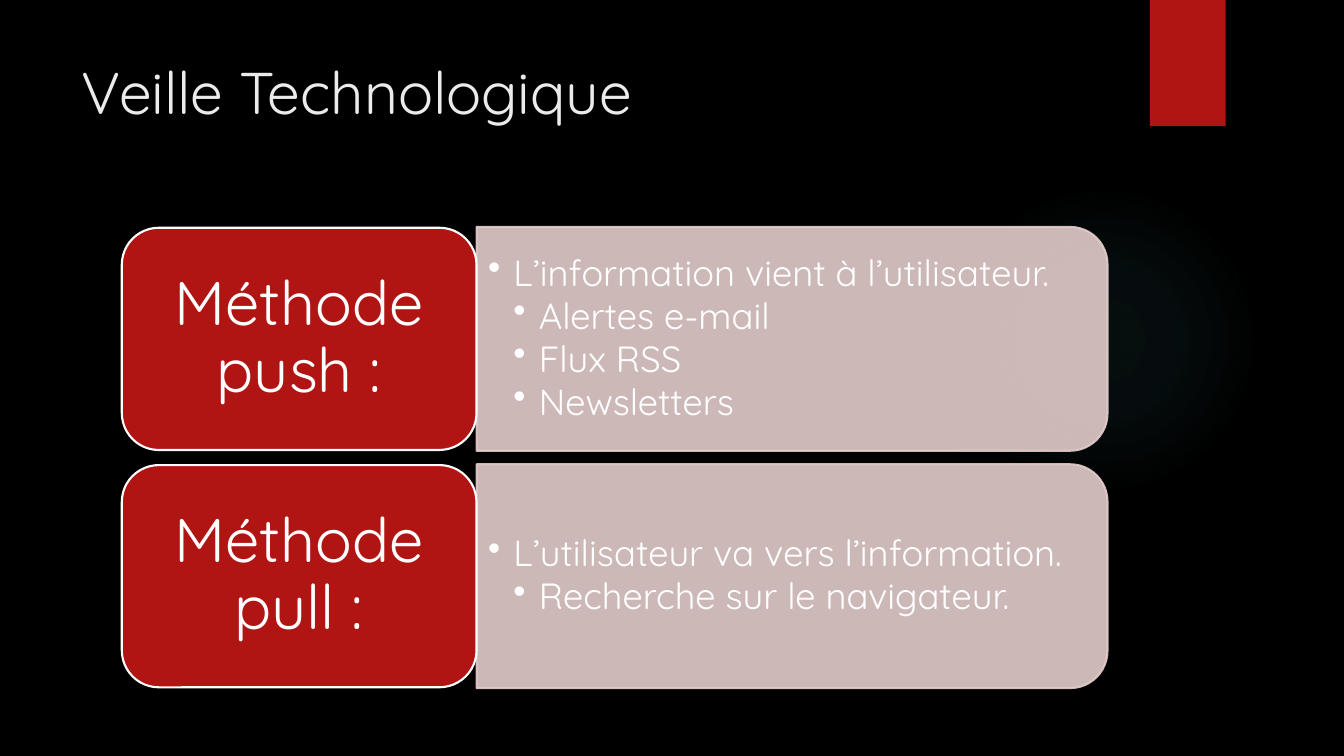
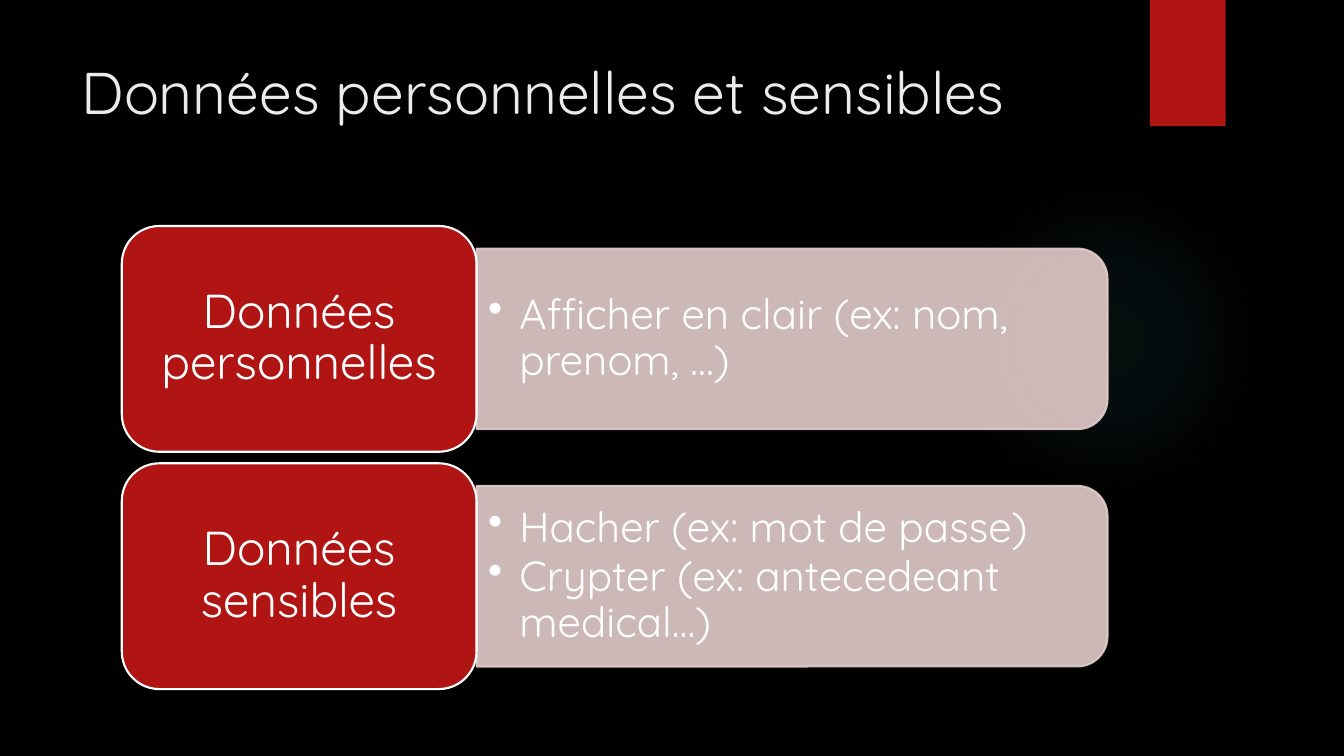
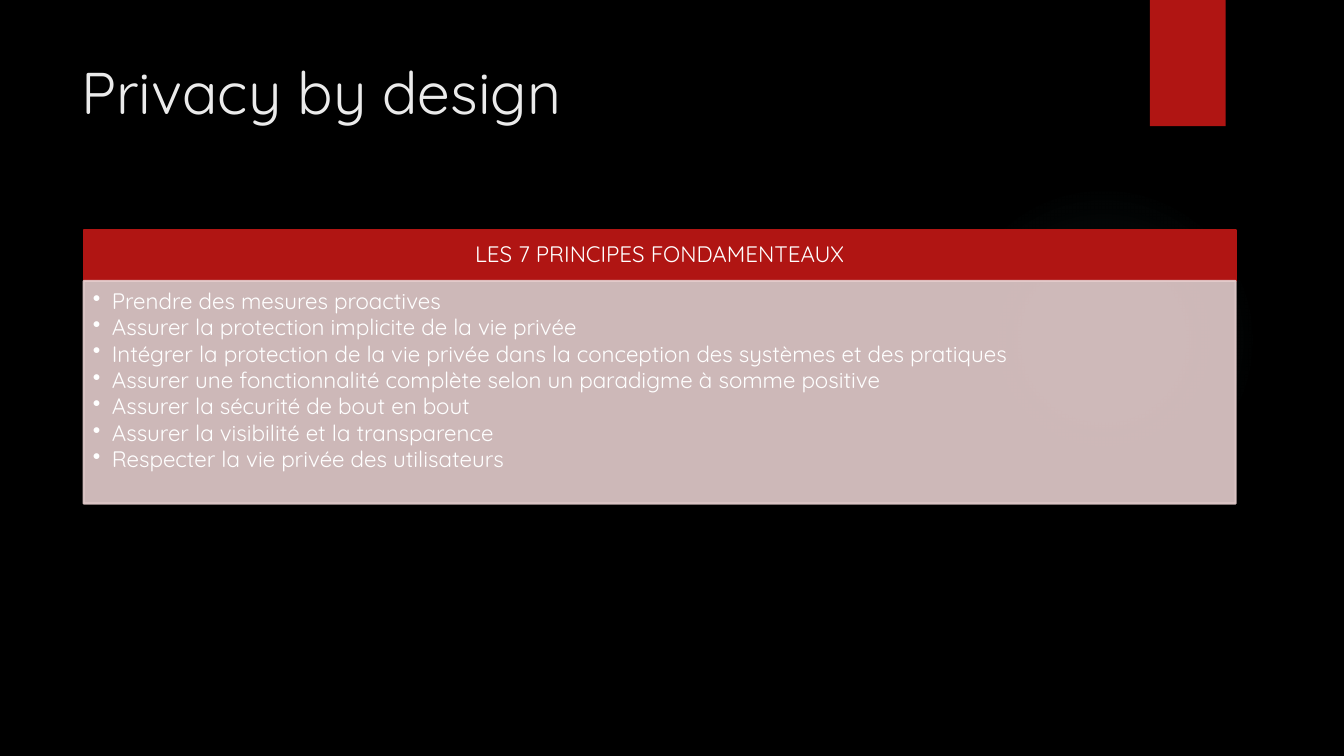
from pptx import Presentation
from pptx.dml.color import RGBColor
from pptx.enum.shapes import MSO_SHAPE
from pptx.enum.text import MSO_ANCHOR, PP_ALIGN
from pptx.oxml import parse_xml
from pptx.oxml.ns import nsdecls, qn
from pptx.util import Cm, Pt

RECT, OVAL = MSO_SHAPE.RECTANGLE, MSO_SHAPE.OVAL
ROUNDED, TWO_ROUNDED = MSO_SHAPE.ROUNDED_RECTANGLE, MSO_SHAPE.ROUND_2_SAME_RECTANGLE
TOP, MIDDLE = MSO_ANCHOR.TOP, MSO_ANCHOR.MIDDLE
LEFT, CENTER = PP_ALIGN.LEFT, PP_ALIGN.CENTER

FONT = "Quicksand"
BLACK, RED, PINK, WHITE, TITLE_GREY, TEAL = (
    "000000", "B01513", "E4CCCC", "FFFFFF", "EBEBEB", "50B9C1")
GLOW_STOPS = [(0, 7), (36, 6), (69, 0), (100, 0)]  # position %, opacity %

# Each row: label, then bullets as (level, text). Lengths are in cm.
ROW_SLIDES = [
    {
        "title": "Veille Technologique",
        "label_size": 44, "label_height": 5.6, "label_insets": (0.46, 0.23),
        "bullet_size": 26, "indent": 0.64, "panel_height": 5.64,
        "rows": [
            ("Méthode push :", [
                (1, "L’information vient à l’utilisateur."),
                (2, "Alertes e-mail"),
                (2, "Flux RSS"),
                (2, "Newsletters"),
            ]),
            ("Méthode pull :", [
                (1, "L’utilisateur va vers l’information."),
                (2, "Recherche sur le navigateur."),
            ]),
        ],
    },
    {
        "title": "Données personnelles et sensibles",
        "label_size": 34, "label_height": 5.69, "label_insets": (0.36, 0.18),
        "bullet_size": 30, "indent": 0.79, "panel_height": 4.55,
        "rows": [
            ("Données personnelles", [(1, "Afficher en clair (ex: nom, prenom, …)")]),
            ("Données sensibles", [
                (1, "Hacher (ex: mot de passe)"),
                (1, "Crypter (ex: antecedeant medical…)"),
            ]),
        ],
    },
]
PRINCIPLES_TITLE = "Privacy by design"
PRINCIPLES_HEADER = "LES 7 PRINCIPES FONDAMENTEAUX"
PRINCIPLES = [
    "Prendre des mesures proactives",
    "Assurer la protection implicite de la vie privée",
    "Intégrer la protection de la vie privée dans la conception des systèmes et des pratiques",
    "Assurer une fonctionnalité complète selon un paradigme à somme positive",
    "Assurer la sécurité de bout en bout",
    "Assurer la visibilité et la transparence",
    "Respecter la vie privée des utilisateurs",
]

LABEL_LEFT, LABEL_WIDTH = 3.07, 8.94
PANEL_LEFT, PANEL_WIDTH, PANEL_TEXT_WIDTH = LABEL_LEFT + LABEL_WIDTH, 15.9, 15.64
FIRST_ROW_CENTER, ROW_PITCH = 8.54, 5.98
TABLE_LEFT, TABLE_TOP, TABLE_WIDTH = 2.11, 5.79, 29.03
HEADER_HEIGHT, BODY_HEIGHT = 1.29, 5.61


def rgb(value):
    return RGBColor.from_string(value)


def add_block(slide, kind, box, fill, line=None, opacity=None):
    block = slide.shapes.add_shape(kind, *map(Cm, box))
    block.shadow.inherit = False
    block.fill.solid()
    block.fill.fore_color.rgb = rgb(fill)
    if line:
        block.line.color.rgb = rgb(line)
        block.line.width = Pt(1.5)
    else:
        block.line.fill.background()
    if opacity:
        for color in block._element.spPr.iter(qn("a:srgbClr")):
            color.append(parse_xml(f'<a:alpha {nsdecls("a")} val="{opacity * 1000}"/>'))
    return block


def set_frame(block, anchor, insets):
    """Wrap the text; insets are left, top, right, bottom in cm."""
    frame = block.text_frame
    frame.word_wrap = True
    frame.vertical_anchor = anchor
    (frame.margin_left, frame.margin_top,
     frame.margin_right, frame.margin_bottom) = map(Cm, insets)
    return frame


def add_run(paragraph, text, size, color=WHITE):
    run = paragraph.add_run()
    run.text = text
    run.font.name = FONT
    run.font.size = Pt(size)
    run.font.color.rgb = rgb(color)


def write_label(block, text, size, insets):
    paragraph = set_frame(block, MIDDLE, insets * 2).paragraphs[0]
    paragraph.alignment = CENTER
    paragraph.line_spacing = 0.9
    add_run(paragraph, text, size)


def write_bullets(block, bullets, size, indent, anchor, insets):
    frame = set_frame(block, anchor, insets)
    for i, (level, text) in enumerate(bullets):
        paragraph = frame.add_paragraph() if i else frame.paragraphs[0]
        properties = paragraph._p.get_or_add_pPr()
        properties.set("marL", str(Cm(indent * level)))
        properties.set("indent", str(-Cm(indent)))
        properties.append(parse_xml(f'<a:buChar {nsdecls("a")} char="•"/>'))
        paragraph.alignment = LEFT
        paragraph.line_spacing = 0.9
        paragraph.space_after = Pt(round(size * 0.1, 1))
        add_run(paragraph, text, size)


def add_glow(slide):
    glow = add_block(slide, OVAL, (23.9, 4.65, 7.82, 7.82), TEAL)
    stops = "".join(
        f'<a:gs pos="{pos * 1000}"><a:srgbClr val="{TEAL}">'
        f'<a:alpha val="{opacity * 1000}"/></a:srgbClr></a:gs>'
        for pos, opacity in GLOW_STOPS)
    properties = glow._element.spPr
    properties.replace(properties.find(qn("a:solidFill")), parse_xml(
        f'<a:gradFill {nsdecls("a")}><a:gsLst>{stops}</a:gsLst><a:path path="circle">'
        '<a:fillToRect l="50000" t="50000" r="50000" b="50000"/></a:path></a:gradFill>'))


def new_slide(prs, title):
    slide = prs.slides.add_slide(prs.slide_layouts[6])
    add_glow(slide)
    add_block(slide, RECT, (28.98, 0, 1.91, 3.18), RED)
    heading = slide.shapes.add_textbox(Cm(1.8), Cm(1.27), Cm(26.14), Cm(3.89))
    frame = set_frame(heading, TOP, (0.25, 0.13, 0.25, 0.13))
    add_run(frame.paragraphs[0], title, 42, TITLE_GREY)
    return slide


def add_row(slide, style, center, label, bullets):
    height = style["panel_height"]
    # The panel is drawn upright and turned so that its rounded end faces right.
    upright = (PANEL_LEFT + (PANEL_WIDTH - height) / 2, center - PANEL_WIDTH / 2,
               height, PANEL_WIDTH)
    add_block(slide, TWO_ROUNDED, upright, PINK, PINK, 90).rotation = 90
    text_box = (PANEL_LEFT, center - height / 2, PANEL_TEXT_WIDTH, height)
    write_bullets(slide.shapes.add_textbox(*map(Cm, text_box)), bullets,
                  style["bullet_size"], style["indent"], MIDDLE, (0.29, 0.14, 0.29, 0.14))
    height = style["label_height"]
    label_box = (LABEL_LEFT, center - height / 2, LABEL_WIDTH, height)
    write_label(add_block(slide, ROUNDED, label_box, RED, WHITE),
                label, style["label_size"], style["label_insets"])


def add_principles(slide):
    header = add_block(slide, RECT, (TABLE_LEFT, TABLE_TOP, TABLE_WIDTH, HEADER_HEIGHT), RED, RED)
    write_label(header, PRINCIPLES_HEADER, 16, (0.3, 0.18))
    body_box = (TABLE_LEFT, TABLE_TOP + HEADER_HEIGHT, TABLE_WIDTH, BODY_HEIGHT)
    body = add_block(slide, RECT, body_box, PINK, PINK, 90)
    write_bullets(body, [(1, text) for text in PRINCIPLES], 16, 0.48, TOP,
                  (0.23, 0.23, 0.3, 0.36))


def main():
    prs = Presentation()
    prs.slide_width, prs.slide_height = Cm(33.87), Cm(19.05)
    background = prs.slide_master.background.fill
    background.solid()
    background.fore_color.rgb = rgb(BLACK)
    for content in ROW_SLIDES:
        slide = new_slide(prs, content["title"])
        for i, (label, bullets) in enumerate(content["rows"]):
            add_row(slide, content, FIRST_ROW_CENTER + i * ROW_PITCH, label, bullets)
    add_principles(new_slide(prs, PRINCIPLES_TITLE))
    prs.save("out.pptx")


if __name__ == "__main__":
    main()
